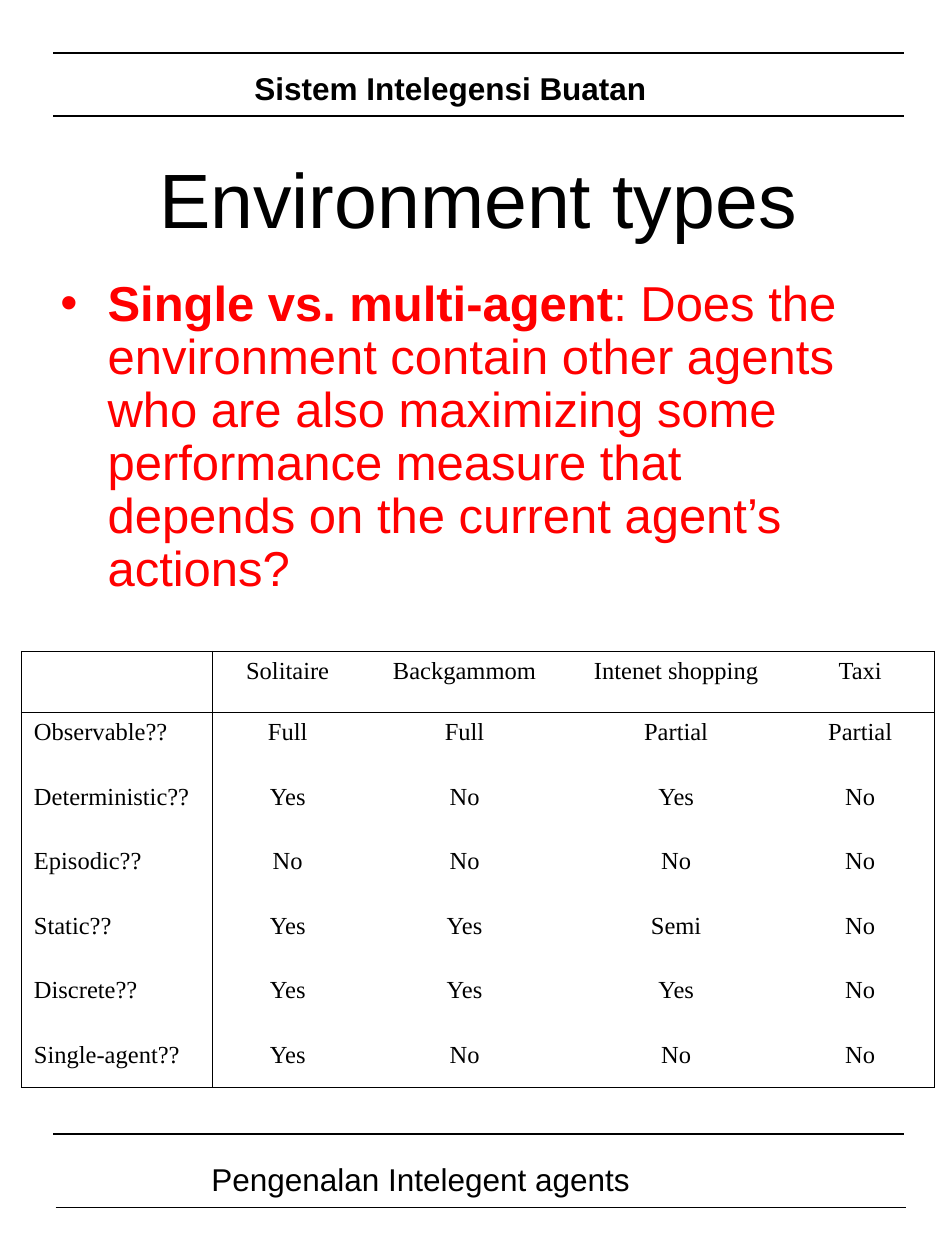
from dataclasses import dataclass
from lxml.etree import SubElement
from pptx import Presentation
from pptx.dml.color import RGBColor
from pptx.enum.shapes import MSO_CONNECTOR
from pptx.enum.text import MSO_ANCHOR, PP_ALIGN
from pptx.oxml.ns import qn
from pptx.util import Cm, Pt


@dataclass(frozen=True)
class Theme:
    ink: str = "000000"
    accent: str = "FF0000"
    sans: str = "Arial"
    serif: str = "Times New Roman"
    title: int = 44
    body: int = 28
    band: int = 18
    cell: int = 14
    rule: float = 0.75
    border: float = 0.45


@dataclass(frozen=True)
class Box:
    left: float
    top: float
    width: float
    height: float

    def inset(self, left, top, width, height):
        return Box(self.left + left, self.top + top, width, height)

    def lengths(self):
        return [Cm(side) for side in (self.left, self.top, self.width, self.height)]


THEME = Theme()
ENVIRONMENTS = [
    ["", "Solitaire", "Backgammom", "Intenet shopping", "Taxi"],
    ["Observable??", "Full", "Full", "Partial", "Partial"],
    ["Deterministic??", "Yes", "No", "Yes", "No"],
    ["Episodic??", "No", "No", "No", "No"],
    ["Static??", "Yes", "Yes", "Semi", "No"],
    ["Discrete??", "Yes", "Yes", "Yes", "No"],
    ["Single-agent??", "Yes", "No", "No", "No"],
]
COLUMN_WIDTHS = [3.86, 3.02, 4.11, 4.42, 3.0]
ROW_HEIGHTS = [1.24] + [1.3] * 5 + [1.04]


def apply_format(target, formats):
    for attribute, value in formats.items():
        setattr(target, attribute, value)


def add_words(paragraph, words, size, font=THEME.sans, color=THEME.ink, bold=False):
    run = paragraph.add_run()
    run.text = words
    apply_format(run.font, {"size": Pt(size), "name": font, "bold": bold})
    run.font.color.rgb = RGBColor.from_string(color)


def add_frame(slide, box, anchor=MSO_ANCHOR.TOP):
    frame = slide.shapes.add_textbox(*box.lengths()).text_frame
    apply_format(frame, {"word_wrap": True, "vertical_anchor": anchor})
    return frame.paragraphs[0]


def add_rule(slide, left, top, width):
    rule = slide.shapes.add_connector(
        MSO_CONNECTOR.STRAIGHT, Cm(left), Cm(top), Cm(left + width), Cm(top))
    rule.line.width = Pt(THEME.rule)
    rule.line.color.rgb = RGBColor.from_string(THEME.ink)
    SubElement(rule._element.spPr, qn("a:effectLst"))


def add_band(slide, box, label_box, label, bold=False, lower_shift=0):
    add_rule(slide, box.left, box.top, box.width)
    add_rule(slide, box.left + lower_shift, box.top + box.height, box.width)
    add_words(add_frame(slide, label_box), label, THEME.band, bold=bold)


def add_title(slide, box, title):
    heading = add_frame(slide, box, MSO_ANCHOR.MIDDLE)
    heading.alignment = PP_ALIGN.CENTER
    add_words(heading, title, THEME.title)


def add_definition(slide, box, term, question):
    definition = add_frame(slide, box)
    definition.line_spacing = 0.9
    properties = definition._p.get_or_add_pPr()
    properties.set("marL", str(Cm(0.95)))
    properties.set("indent", str(-Cm(0.95)))
    bullet_color = SubElement(properties, qn("a:buClr"))
    SubElement(bullet_color, qn("a:srgbClr"), val=THEME.accent)
    SubElement(properties, qn("a:buFont"), typeface=THEME.sans)
    SubElement(properties, qn("a:buChar"), char="•")
    add_words(definition, term, THEME.body, color=THEME.accent, bold=True)
    add_words(definition, question, THEME.body, color=THEME.accent)


def set_borders(cell, sides):
    properties = cell._tc.get_or_add_tcPr()
    for side in "LRTB":
        border = SubElement(properties, qn(f"a:ln{side}"), w=str(Pt(THEME.border)))
        if side in sides:
            fill = SubElement(border, qn("a:solidFill"))
            SubElement(fill, qn("a:srgbClr"), val=THEME.ink)
        else:
            SubElement(border, qn("a:noFill"))


def add_environment_table(slide, box, rows):
    last_row, last_column = len(rows) - 1, len(rows[0]) - 1
    table = slide.shapes.add_table(len(rows), len(rows[0]), *box.lengths()).table
    apply_format(table, {"first_row": False, "horz_banding": False})
    for column, width in zip(table.columns, COLUMN_WIDTHS):
        column.width = Cm(width)
    for row, height in zip(table.rows, ROW_HEIGHTS):
        row.height = Cm(height)
    for r, values in enumerate(rows):
        for c, value in enumerate(values):
            cell = table.cell(r, c)
            edges = {"L": c <= 1, "R": c in (0, last_column),
                     "T": r <= 1, "B": r in (0, last_row)}
            set_borders(cell, [side for side, drawn in edges.items() if drawn])
            cell.fill.background()
            entry = cell.text_frame.paragraphs[0]
            entry.alignment = PP_ALIGN.CENTER if c else PP_ALIGN.LEFT
            if value:
                add_words(entry, value, THEME.cell, THEME.serif)


def main():
    presentation = Presentation()
    apply_format(presentation, {"slide_width": Cm(19.05), "slide_height": Cm(25.4)})
    slide = presentation.slides.add_slide(presentation.slide_layouts[6])
    header = Box(1.07, 1.07, 17.15, 1.27)
    footer = Box(1.07, 22.86, 17.15, 1.48)
    add_band(slide, header, header.inset(3.81, 0.2, 8.69, 1.02),
             "Sistem Intelegensi Buatan", bold=True)
    add_band(slide, footer, footer.inset(2.94, 0.41, 10.8, 1.02),
             "Pengenalan Intelegent agents", lower_shift=0.05)
    add_definition(
        slide, Box(0.97, 5.51, 16.18, 6.99), "Single vs. multi-agent",
        ": Does the environment contain other agents who are also maximizing some "
        "performance measure that depends on the current agent’s actions?")
    add_environment_table(
        slide, Box(0.43, 13.13, sum(COLUMN_WIDTHS), sum(ROW_HEIGHTS)), ENVIRONMENTS)
    add_title(slide, Box(1.07, 2.74, 17.15, 2.49), "Environment types")
    presentation.save("out.pptx")


if __name__ == "__main__":
    main()
